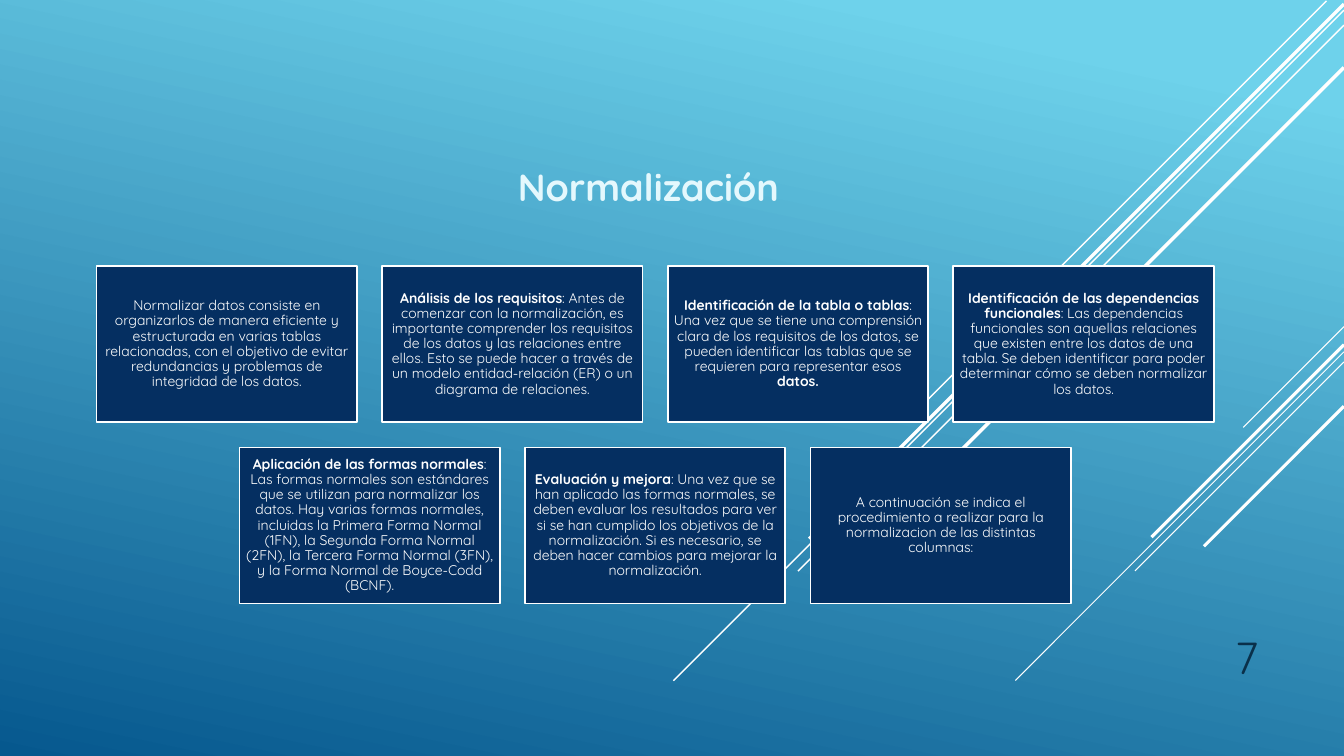
"""Build the slide on data normalization: seven steps over diagonal streaks."""
from pptx import Presentation
from pptx import util as u
from pptx.dml.color import RGBColor
from pptx.enum import shapes, text
from pptx.oxml.ns import qn
from lxml import etree

TITLE = "Normalización "
PAGE = "7"
ROWS = [
    [
        ("", "Normalizar datos consiste en organizarlos de manera eficiente y "
         "estructurada en varias tablas relacionadas, con el objetivo de evitar "
         "redundancias y problemas de integridad de los datos."),
        ("Análisis de los requisitos",
         ": Antes de comenzar con la normalización, es importante comprender los "
         "requisitos de los datos y las relaciones entre ellos. Esto se puede hacer "
         "a través de un modelo entidad-relación (ER) o un diagrama de relaciones."),
        ("Identificación de la tabla o tablas",
         ": Una vez que se tiene una comprensión clara de los requisitos de los "
         "datos, se pueden identificar las tablas que se requieren para representar "
         "esos ", "datos."),
        ("Identificación de las dependencias funcionales",
         ": Las dependencias funcionales son aquellas relaciones que existen entre "
         "los datos de una tabla. Se deben identificar para poder determinar cómo "
         "se deben normalizar los datos."),
    ],
    [
        ("Aplicación de las formas normales",
         ": Las formas normales son estándares que se utilizan para normalizar los "
         "datos. Hay varias formas normales, incluidas la Primera Forma Normal "
         "(1FN), la Segunda Forma Normal (2FN), la Tercera Forma Normal (3FN), y la "
         "Forma Normal de Boyce-Codd (BCNF)."),
        ("Evaluación y mejora",
         ": Una vez que se han aplicado las formas normales, se deben evaluar los "
         "resultados para ver si se han cumplido los objetivos de la normalización. "
         "Si es necesario, se deben hacer cambios para mejorar la normalización."),
        ("", "A continuación se indica el procedimiento a realizar para la "
         "normalizacion de las distintas columnas:"),
    ],
]
# right end x, y, run, weight
STREAKS = [
    (947.5, 0.7, 300, 1), (960, 7.2, 479, 1), (960, 18, 390, 1),
    (960, 2.9, 382, 2.5), (960, 48.2, 342, 2.5),
    (960, 233.3, 72, 0.75), (960, 251.3, 234.7, 0.75), (960, 258.5, 149.3, 0.75),
    (960, 246.2, 137.5, 2.25), (960, 290.2, 100, 2.25),
]
THEME = {
    "font": "Quicksand", "sky": "6ED2EB", "deep": "06588E", "box": "052F61",
    "white": "FFFFFF", "title": "E4F8FD", "page": "0A304A",
    "title_pt": 27, "body_pt": 10, "page_pt": 32,
}
WIDE, HIGH, GAP = 186, 111.5, 18
MID, TOP, STEP = 468, 190, 129.6


def color(name):
    return RGBColor.from_string(THEME[name])


def style(run, size, tint, bold=False):
    font = run.font
    font.name, font.size, font.bold = THEME["font"], u.Pt(THEME[size]), bold
    font.color.rgb = color(tint)


def paint(slide):
    fill = slide.background.fill
    fill.gradient()
    fill.gradient_angle = 258
    for stop, (name, pos) in zip(fill.gradient_stops, (("sky", 0.1), ("deep", 1))):
        stop.color.rgb, stop.position = color(name), pos


def streak(slide, x, y, run, weight):
    line = slide.shapes.add_connector(
        shapes.MSO_CONNECTOR.STRAIGHT, u.Pt(x), u.Pt(y), u.Pt(x - run), u.Pt(y + run))
    line.line.color.rgb, line.line.width = color("white"), u.Pt(weight)
    etree.SubElement(line._element.spPr, qn("a:effectLst"))


def label(slide, words, area, align, size, tint, bold=False):
    frame = slide.shapes.add_textbox(*map(u.Pt, area)).text_frame
    frame.word_wrap, frame.vertical_anchor = True, text.MSO_ANCHOR.BOTTOM
    para = frame.paragraphs[0]
    para.text, para.alignment, para.space_after = words, align, u.Pt(6)
    style(para.runs[0], size, tint, bold)
    return para


def card(slide, parts, x, y):
    box = slide.shapes.add_shape(
        shapes.MSO_SHAPE.RECTANGLE, *map(u.Pt, (x, y, WIDE, HIGH)))
    box.shadow.inherit = False
    box.fill.solid()
    box.fill.fore_color.rgb = color("box")
    box.line.color.rgb, box.line.width = color("white"), u.Pt(1.25)
    frame = box.text_frame
    frame.word_wrap, frame.vertical_anchor = True, text.MSO_ANCHOR.MIDDLE
    frame.margin_left = frame.margin_right = u.Pt(3)
    frame.margin_top = frame.margin_bottom = u.Pt(3)
    para = frame.paragraphs[0]
    para.alignment, para.line_spacing = text.PP_ALIGN.CENTER, 0.9
    for i, part in enumerate(parts):
        if part:
            run = para.add_run()
            run.text = part
            style(run, "body_pt", "white", i % 2 == 0)


def main():
    deck = Presentation()
    deck.slide_width, deck.slide_height = u.Pt(960), u.Pt(540)
    slide = deck.slides.add_slide(deck.slide_layouts[6])
    paint(slide)
    for item in STREAKS:
        streak(slide, *item)
    label(slide, PAGE, (815.8, 439.2, 90, 52.6), text.PP_ALIGN.RIGHT,
          "page_pt", "page")
    head = label(slide, TITLE, (356.4, 110.9, 221, 42.5), text.PP_ALIGN.CENTER,
                 "title_pt", "title", True)
    head.line_spacing = 0.9
    for r, row in enumerate(ROWS):
        left = MID - (len(row) * (WIDE + GAP) - GAP) / 2
        for c, parts in enumerate(row):
            card(slide, parts, left + c * (WIDE + GAP), TOP + r * STEP)
    deck.save("out.pptx")


if __name__ == "__main__":
    main()
